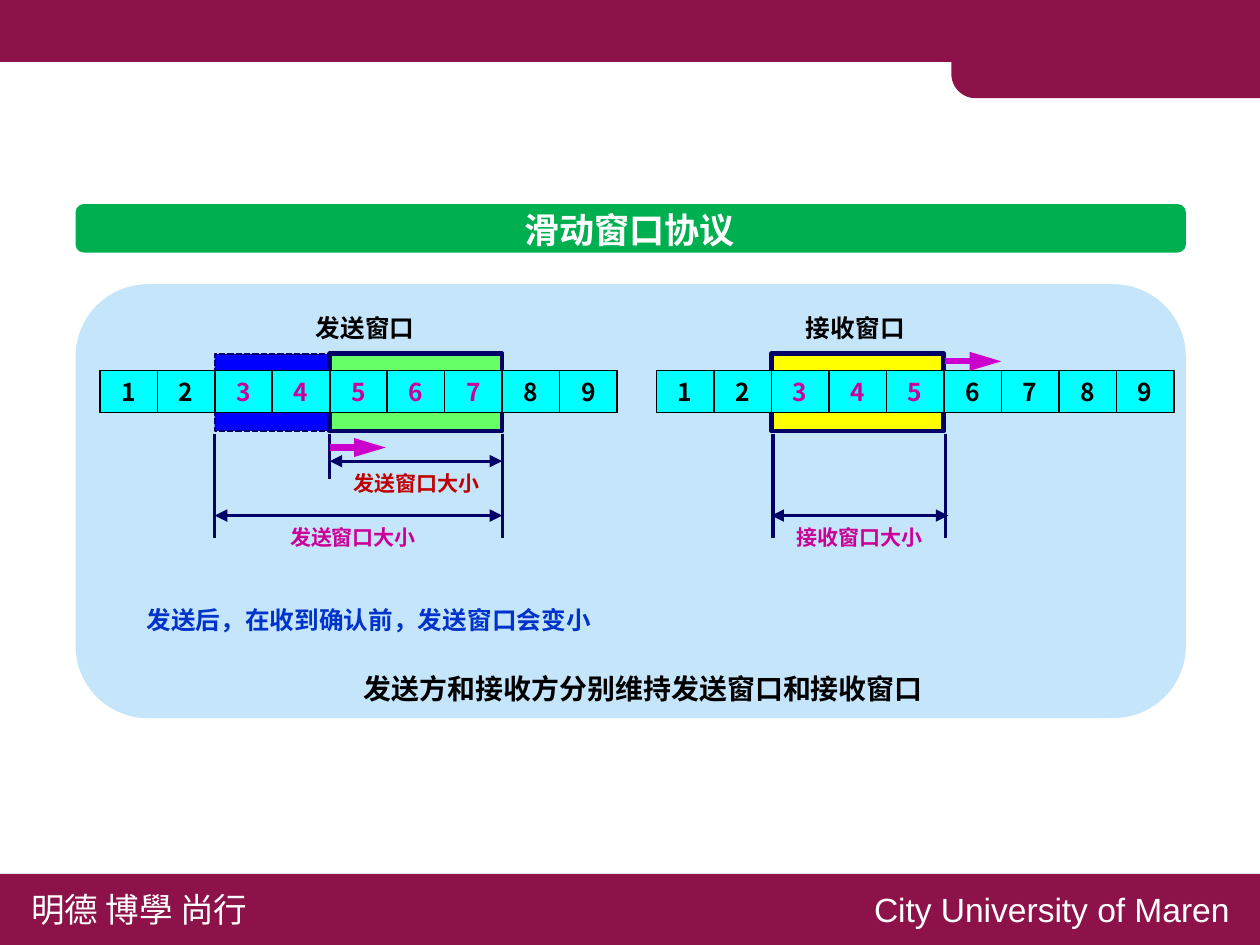
import math
import pptx
import pptx.util
import pptx.dml.color
import pptx.enum.dml
import pptx.enum.shapes
import pptx.enum.text
import pptx.oxml
import pptx.oxml.ns

Inches = pptx.util.Inches
Shapes = pptx.enum.shapes.MSO_SHAPE
Align = pptx.enum.text.PP_ALIGN
Anchor = pptx.enum.text.MSO_ANCHOR

COLORS = {
    "brand": "8D124A", "white": "FFFFFF", "black": "000000", "title": "00B050",
    "panel": "C5E5FB", "navy": "000066", "sent": "0000FF", "send": "66FF66",
    "receive": "FFFF00", "cell": "00FFFF", "active": "CC0099", "note": "0033CC",
    "shrunk": "C00000", "move": "CC00CC",
}
CELL_WIDTH = 0.38
CELL_COUNT = 9
STRIP_TOP, STRIP_HEIGHT = 2.45, 0.28
WINDOW_TOP, WINDOW_HEIGHT = 2.34, 0.51
GUIDE_TOP, GUIDE_BOTTOM = 2.87, 3.56


class SlideBuilder:
    font_name = "Noto Sans CJK SC"

    def __init__(self, slide):
        self.slide = slide

    def color(self, name):
        return pptx.dml.color.RGBColor.from_string(COLORS[name])

    def paint(self, shape, fill, line=None, weight=1.0, dash=None):
        shape.shadow.inherit = False
        shape.fill.solid()
        shape.fill.fore_color.rgb = self.color(fill)
        if line is None:
            shape.line.fill.background()
            return
        shape.line.color.rgb = self.color(line)
        shape.line.width = pptx.util.Pt(weight)
        if dash:
            shape.line.dash_style = dash

    def box(self, left, top, width, height, fill, kind=Shapes.RECTANGLE, **outline):
        shape = self.slide.shapes.add_shape(
            kind, Inches(left), Inches(top), Inches(width), Inches(height))
        self.paint(shape, fill, **outline)

    def corner_tab(self, left, top, right, bottom, radius, fill):
        arc = [(left + radius * (1 - math.sin(math.radians(angle))),
                bottom - radius * (1 - math.cos(math.radians(angle))))
               for angle in range(0, 91, 5)]
        points = [(right, top), (right, bottom)] + arc
        builder = self.slide.shapes.build_freeform(
            Inches(left), Inches(top), scale=1.0)
        builder.add_line_segments([(Inches(x), Inches(y)) for x, y in points])
        self.paint(builder.convert_to_shape(), fill)

    def text(self, left, top, width, height, content, size, color, bold=True,
             align=Align.LEFT, anchor=Anchor.TOP, wrap=False, font_name=None):
        shape = self.slide.shapes.add_textbox(
            Inches(left), Inches(top), Inches(width), Inches(height))
        frame = shape.text_frame
        frame.word_wrap = wrap
        frame.vertical_anchor = anchor
        paragraph = frame.paragraphs[0]
        paragraph.text = content
        paragraph.alignment = align
        font = paragraph.font
        font.size = pptx.util.Pt(size)
        font.bold = bold
        font.color.rgb = self.color(color)
        font.name = font_name or self.font_name
        properties = paragraph._p.pPr.find(pptx.oxml.ns.qn("a:defRPr"))
        properties.append(pptx.oxml.parse_xml(
            f'<a:ea {pptx.oxml.ns.nsdecls("a")} typeface="{font.name}"/>'))

    def line(self, start, end, color="navy", weight=1.5, arrows=(), length="med"):
        connector = self.slide.shapes.add_connector(
            pptx.enum.shapes.MSO_CONNECTOR.STRAIGHT,
            *(Inches(value) for value in (*start, *end)))
        connector.line.color.rgb = self.color(color)
        connector.line.width = pptx.util.Pt(weight)
        namespace = pptx.oxml.ns.nsdecls("a")
        properties = connector._element.spPr
        outline = properties.find(pptx.oxml.ns.qn("a:ln"))
        for arrow in arrows:
            outline.append(pptx.oxml.parse_xml(
                f'<a:{arrow} {namespace} type="triangle" w="med" len="{length}"/>'))
        properties.append(pptx.oxml.parse_xml(f"<a:effectLst {namespace}/>"))

    def strip(self, left, active):
        self.box(left, STRIP_TOP, CELL_COUNT * CELL_WIDTH, STRIP_HEIGHT, "cell",
                 line="black", weight=0.75)
        for index in range(CELL_COUNT):
            x = left + index * CELL_WIDTH
            number = index + 1
            self.text(x, STRIP_TOP, CELL_WIDTH, STRIP_HEIGHT, str(number), 11.7,
                      "active" if number in active else "black",
                      align=Align.CENTER, anchor=Anchor.MIDDLE)
            if index:
                self.line((x, STRIP_TOP), (x, STRIP_TOP + STRIP_HEIGHT), "black", 0.75)

    def window(self, left, cells, fill, weight=2.25, dash=None):
        self.box(left, WINDOW_TOP, cells * CELL_WIDTH, WINDOW_HEIGHT, fill,
                 line="navy", weight=weight, dash=dash)

    def guide(self, x, bottom=GUIDE_BOTTOM):
        self.line((x, GUIDE_TOP), (x, bottom))

    def dimension(self, left, right, y, label, label_left, color):
        self.line((left, y), (right, y), arrows=("headEnd", "tailEnd"))
        self.text(label_left, y + 0.01, 1.04, 0.27, label, 10, color)

    def move_arrow(self, left, y):
        self.line((left, y), (left + 0.37, y), "move", 3, ("tailEnd",), "lg")


def main():
    presentation = pptx.Presentation()
    presentation.slide_width = Inches(8.33)
    presentation.slide_height = Inches(6.25)
    builder = SlideBuilder(
        presentation.slides.add_slide(presentation.slide_layouts[6]))

    builder.box(0, 0, 8.33, 0.41, "brand")
    builder.corner_tab(6.29, 0.02, 8.33, 0.65, 0.16, "brand")
    builder.box(0, 5.78, 8.33, 0.47, "brand")
    builder.text(0.11, 5.83, 1.68, 0.37, "明德 博學 尚行", 16, "white",
                 bold=False, wrap=True)
    builder.text(5.68, 5.83, 2.62, 0.37, "City University of Maren", 16, "white",
                 bold=False, wrap=True, font_name="Arial")

    builder.box(0.5, 1.35, 7.34, 0.32, "title", Shapes.ROUNDED_RECTANGLE)
    builder.text(3.36, 1.33, 1.6, 0.38, "滑动窗口协议", 16.7, "white",
                 align=Align.CENTER)
    builder.box(0.5, 1.88, 7.34, 2.87, "panel", Shapes.ROUNDED_RECTANGLE)
    builder.text(0.87, 3.95, 3.14, 0.3, "发送后，在收到确认前，发送窗口会变小",
                 11.7, "note")
    builder.text(2.07, 4.39, 4.37, 0.33, "发送方和接收方分别维持发送窗口和接收窗口",
                 13.3, "black", align=Align.CENTER, wrap=True)

    sender_left = 0.66
    full_left, shrunk_left, send_right = (
        sender_left + cells * CELL_WIDTH for cells in (2, 4, 7))
    builder.text(1.99, 2.02, 0.85, 0.3, "发送窗口", 11.7, "black")
    builder.window(full_left, 5, "sent", 1, pptx.enum.dml.MSO_LINE.SQUARE_DOT)
    builder.window(shrunk_left, 3, "send")
    builder.strip(sender_left, range(3, 8))
    builder.guide(full_left)
    builder.guide(send_right)
    builder.guide(shrunk_left, 3.17)
    builder.dimension(full_left, send_right, 3.41, "发送窗口大小", 1.82, "active")
    builder.dimension(shrunk_left, send_right, 3.05, "发送窗口大小", 2.24, "shrunk")
    builder.move_arrow(shrunk_left, 2.96)

    receiver_left = 4.34
    receive_left, receive_right = (
        receiver_left + cells * CELL_WIDTH for cells in (2, 5))
    builder.text(5.23, 2.02, 0.85, 0.3, "接收窗口", 11.7, "black")
    builder.window(receive_left, 3, "receive")
    builder.strip(receiver_left, range(3, 6))
    builder.guide(receive_left + 0.01)
    builder.guide(receive_right + 0.01)
    builder.dimension(receive_left, receive_right + 0.03, 3.41, "接收窗口大小",
                      5.17, "active")
    builder.move_arrow(receive_right + 0.01, 2.39)

    presentation.save("out.pptx")


if __name__ == "__main__":
    main()
